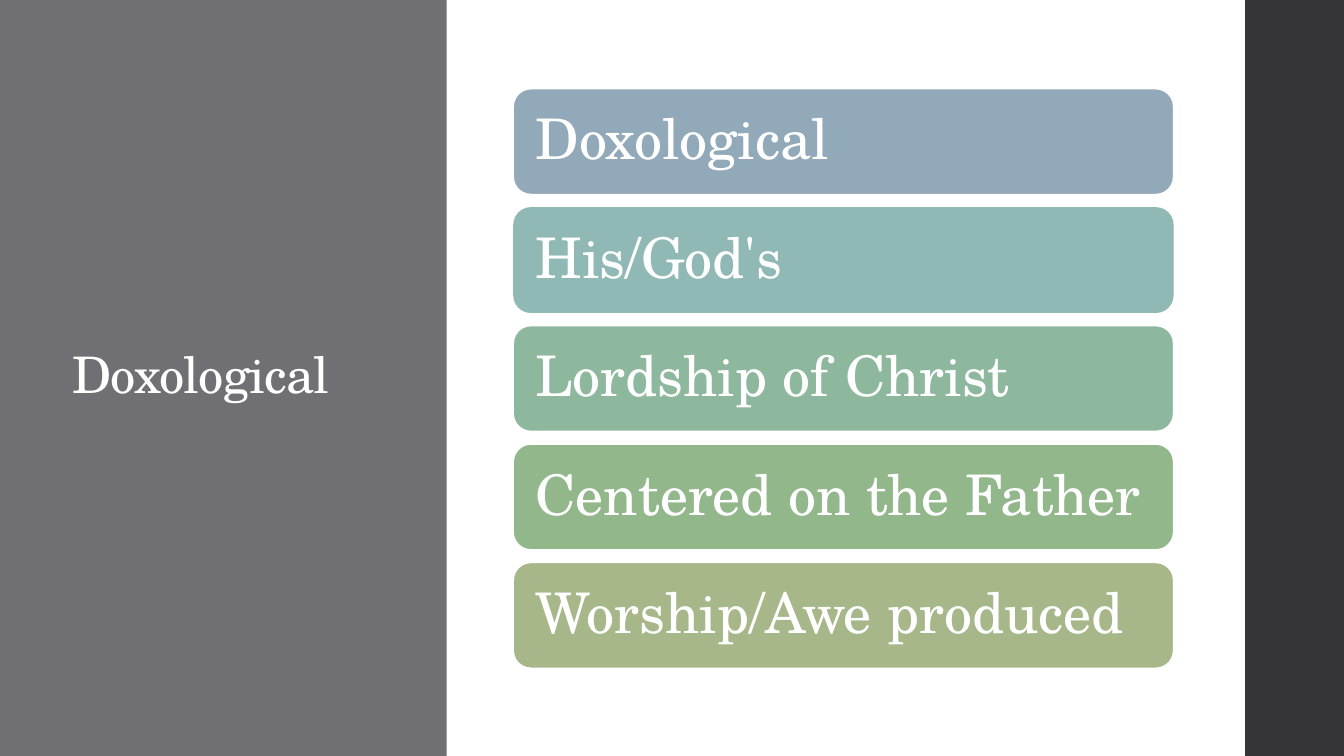
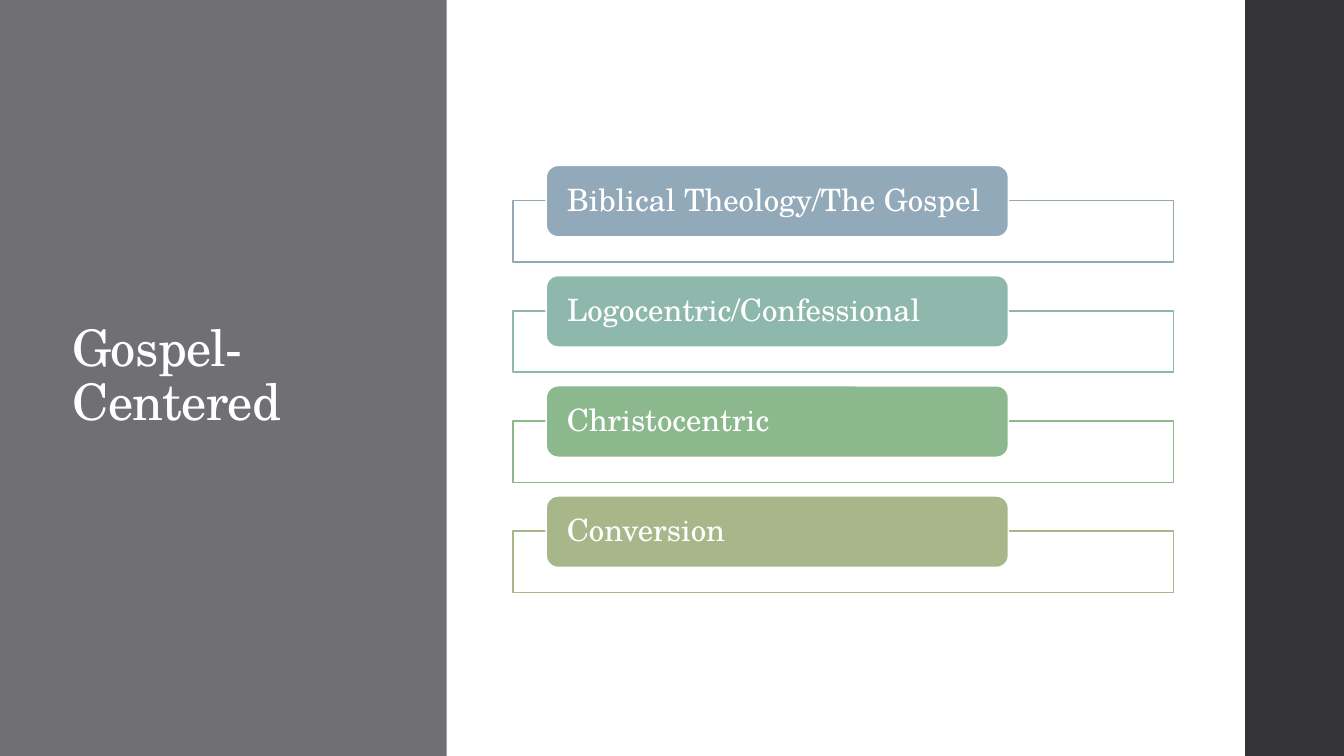
from collections import namedtuple

from lxml import etree
from pptx import Presentation, util as u
from pptx.dml.color import RGBColor
from pptx.enum import shapes, text
from pptx.oxml.ns import qn

WIDTH, HEIGHT = 13.33, 7.5
FONT = "TeX Gyre Schola"
COLORS = {
    "white": "FFFFFF", "panel": "6F6F74", "edge": "353537",
    "blue": "92A9B9", "teal": "90B8B4", "mint": "8EB89E",
    "leaf": "91B78B", "olive": "A7B789",
    "sea": "8FB8AD", "green": "8CB88E",
}
Box = namedtuple("Box", "left top width height")

PANEL = Box(0, 0, 4.43, HEIGHT)
TITLE = Box(0.62, 0.91, 2.97, 5.67)
EDGE = Box(12.35, 0, WIDTH - 12.35, HEIGHT)
BARS = Box(5.09, 0.88, 6.55, 5.75)
CARDS = Box(5.09, 1.64, 6.55, 4.24)

DOXOLOGICAL = [
    ("Doxological", "blue"), ("His/God's", "teal"),
    ("Lordship of Christ", "mint"), ("Centered on the Father", "leaf"),
    ("Worship/Awe produced", "olive"),
]
GOSPEL_CENTERED = [
    ("Biblical Theology/The Gospel", "blue"),
    ("Logocentric/Confessional", "sea"),
    ("Christocentric", "green"), ("Conversion", "olive"),
]


def rgb(name):
    return RGBColor.from_string(COLORS[name])


def inches(box):
    return [u.Inches(length) for length in box]


def split_rows(box, count, height):
    """Yield equally spaced rows that fill the box from top to bottom."""
    step = (box.height - height) / (count - 1)
    for index in range(count):
        yield Box(box.left, box.top + index * step, box.width, height)


def add_block(slide, box, fill, outline=None, rounded=False):
    kind = shapes.MSO_SHAPE.ROUNDED_RECTANGLE if rounded else shapes.MSO_SHAPE.RECTANGLE
    block = slide.shapes.add_shape(kind, *inches(box))
    block.shadow.inherit = False
    block.fill.solid()
    block.fill.fore_color.rgb = rgb(fill)
    if outline:
        block.line.color.rgb = rgb(outline)
        block.line.width = u.Pt(1.1)
    else:
        block.line.fill.background()
    return block


def write(shape, words, size, inset_x=0.1, inset_y=0.05):
    frame = shape.text_frame
    frame.word_wrap = True
    frame.vertical_anchor = text.MSO_ANCHOR.MIDDLE
    frame.margin_left = frame.margin_right = u.Inches(inset_x)
    frame.margin_top = frame.margin_bottom = u.Inches(inset_y)
    frame.text = words
    paragraph = frame.paragraphs[0]
    paragraph.alignment = text.PP_ALIGN.LEFT
    paragraph.line_spacing = 0.9
    run = paragraph.runs[0]
    run.font.name = FONT
    run.font.size = u.Pt(size)
    run.font.color.rgb = rgb("white")
    return run


def add_titled_slide(deck, title):
    slide = deck.slides.add_slide(deck.slide_layouts[6])
    slide.background.fill.solid()
    slide.background.fill.fore_color.rgb = rgb("white")
    add_block(slide, PANEL, "panel")
    heading = write(slide.shapes.add_textbox(*inches(TITLE)), title, 36)
    heading.font._element.set("spc", "-50")
    add_block(slide, EDGE, "edge")
    return slide


def add_bars(slide, box, items):
    for row, (words, color) in zip(split_rows(box, len(items), 1.05), items):
        outline = None if color == "teal" else "white"
        bar = add_block(slide, row, color, outline, rounded=True)
        write(bar, words, 40, 0.17, 0.17)


def add_cards(slide, box, items):
    """Stack framed rows, each with a label pill across its top edge."""
    for row, (words, color) in zip(split_rows(box, len(items), 0.96), items):
        body = Box(row.left, row.top + 0.35, row.width, row.height - 0.35)
        frame = add_block(slide, body, "white", color)
        tint = frame.fill._xPr.find(qn("a:solidFill"))[0]
        etree.SubElement(tint, qn("a:alpha"), val="90000")
        label = Box(row.left + 0.05 * row.width, row.top, 0.7 * row.width, 0.71)
        pill = add_block(slide, label, color, "white", rounded=True)
        write(pill, words, 22, 0.17, 0)


def main():
    deck = Presentation()
    deck.slide_width, deck.slide_height = u.Inches(WIDTH), u.Inches(HEIGHT)
    add_bars(add_titled_slide(deck, "Doxological"), BARS, DOXOLOGICAL)
    add_cards(add_titled_slide(deck, "Gospel-Centered"), CARDS, GOSPEL_CENTERED)
    deck.save("out.pptx")


if __name__ == "__main__":
    main()
